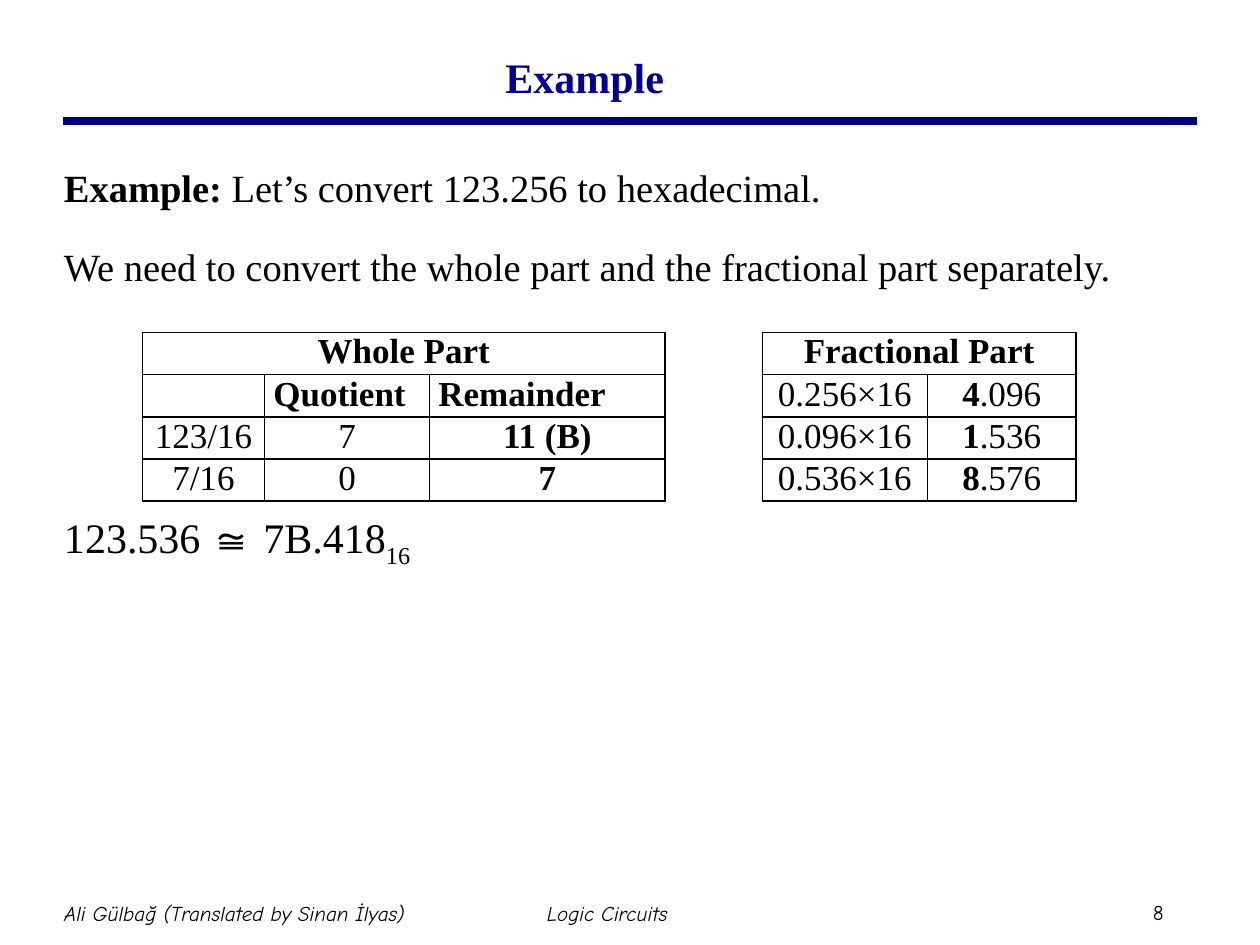
from lxml.etree import SubElement
from pptx import Presentation
from pptx.dml.color import RGBColor
from pptx.enum.text import MSO_ANCHOR as Anchor, PP_ALIGN as Align
from pptx.oxml.ns import qn
from pptx.util import Inches, Pt

COLORS = {"title": "000099", "rule": "000080", "text": "000000"}
SERIF, HAND = "Times New Roman", "Comic Neue"


def write(paragraph, text, size=20, font=SERIF, color="text", bold=False, italic=False, baseline=0):
    """Add one formatted run to a paragraph."""
    run = paragraph.add_run()
    run.text = text
    run.font.size, run.font.name = Pt(size), font
    run.font.bold, run.font.italic = bold, italic
    run.font.color.rgb = RGBColor.from_string(COLORS[color])
    if baseline:
        run.font._element.set("baseline", str(baseline * 1000))


class LectureSlide:
    """Hold the lecture style and the current slide."""

    def __init__(self, deck):
        self.slide = deck.slides.add_slide(deck.slide_layouts[5])
        self.shapes = self.slide.shapes

    def title(self, text, left, top, width, height):
        heading = self.shapes.title
        heading.left, heading.top = Inches(left), Inches(top)
        heading.width, heading.height = Inches(width), Inches(height)
        heading.text_frame.vertical_anchor = Anchor.MIDDLE
        paragraph = heading.text_frame.paragraphs[0]
        paragraph.alignment = Align.CENTER
        write(paragraph, text, size=24, color="title", bold=True)

    def rule(self, left, right, y):
        rule = self.shapes.add_connector(1, Inches(left), Inches(y), Inches(right), Inches(y))
        rule.line.color.rgb = RGBColor.from_string(COLORS["rule"])
        rule.line.width = Pt(4.5)
        SubElement(rule._element.spPr, qn("a:effectLst"))

    def frame(self, left, top, width, height):
        frame = self.shapes.add_textbox(*map(Inches, (left, top, width, height))).text_frame
        frame.word_wrap = True
        return frame

    def footer(self, text, left, top, width, height, align=Align.CENTER, italic=True):
        frame = self.frame(left, top, width, height)
        frame.margin_left = frame.margin_right = Inches(0.05)
        frame.vertical_anchor = Anchor.MIDDLE
        frame.paragraphs[0].alignment = align
        write(frame.paragraphs[0], text, size=12, font=HAND, italic=italic)

    def body(self, paragraphs, left, top, width, height):
        frame = self.frame(left, top, width, height)
        for index, (space, runs) in enumerate(paragraphs):
            paragraph = frame.add_paragraph() if index else frame.paragraphs[0]
            if index:
                paragraph.alignment = Align.JUSTIFY
                paragraph.space_before = Pt(space)
            for text, style in runs:
                write(paragraph, text, **style)

    def table(self, rows, widths, left, top, row_height=0.31):
        table = self.shapes.add_table(len(rows), len(widths), Inches(left), Inches(top),
                                      Inches(sum(widths)), Inches(row_height * len(rows))).table
        table.first_row = table.horz_banding = False
        for column, width in zip(table.columns, widths):
            column.width = Inches(width)
        for cell in table.iter_cells():
            self.style_cell(cell)
        table.cell(0, 0).merge(table.cell(0, len(widths) - 1))
        for r, row in enumerate(rows):
            for c, (align, bold, plain) in enumerate(row):
                paragraph = table.cell(r, c).text_frame.paragraphs[0]
                paragraph.alignment = align
                for text, is_bold in ((bold, True), (plain, False)):
                    if text:
                        write(paragraph, text, bold=is_bold)

    def style_cell(self, cell):
        cell.margin_left = cell.margin_right = Inches(0.07)
        cell.margin_top = cell.margin_bottom = 0
        properties = cell._tc.get_or_add_tcPr()
        for side in ("a:lnL", "a:lnR", "a:lnT", "a:lnB"):
            border = SubElement(properties, qn(side), w=str(Pt(1)))
            SubElement(SubElement(border, qn("a:solidFill")), qn("a:srgbClr"), val=COLORS["text"])
        cell.fill.background()


def centered(bold="", plain=""):
    """Describe a centred cell with a bold part and a plain part."""
    return Align.CENTER, bold, plain


def main():
    """Build the hexadecimal conversion slide."""
    deck = Presentation()
    deck.slide_width, deck.slide_height = Inches(10), Inches(7.5)
    lecture = LectureSlide(deck)
    lecture.rule(0.5, 9.5, 0.96)
    lecture.footer("8", 9.1, 7.09, 0.47, 0.3, align=Align.LEFT, italic=False)
    lecture.footer("Ali Gülbağ (Translated by Sinan İlyas)", 0.07, 7, 3.58, 0.5)
    lecture.title("Example", 0.39, 0.18, 8.5, 0.86)
    lecture.body([
        (0, [("Example: ", {"size": 22, "bold": True}),
             ("Let’s convert 123.256 to hexadecimal.", {"size": 22})]),
        (19, [("We need to convert the whole part and the fractional part separately.", {"size": 22})]),
        (127, [("123.536 ≅ 7B.418", {"size": 24}), ("16", {"size": 24, "baseline": -25})]),
    ], 0.41, 1.25, 9.16, 5.55)
    lecture.footer("Logic Circuits", 3.03, 7, 3.58, 0.5)

    divisions = [("123/16", "7", "11 (B)"), ("7/16", "0", "7")]
    whole = [[centered("Whole Part")],
             [centered(), (Align.LEFT, "Quotient", ""), (Align.LEFT, "Remainder", "")]]
    whole += [[centered(plain=division), centered(plain=quotient), centered(remainder)]
              for division, quotient, remainder in divisions]
    lecture.table(whole, [0.97, 1.31, 1.87], 1.13, 2.64)

    products = [("0.256×16", "4", ".096"), ("0.096×16", "1", ".536"), ("0.536×16", "8", ".576")]
    fractional = [[centered("Fractional Part")]]
    fractional += [[centered(plain=product), centered(digit, rest)] for product, digit, rest in products]
    lecture.table(fractional, [1.31, 1.18], 6.05, 2.64)
    deck.save("out.pptx")


if __name__ == "__main__":
    main()
